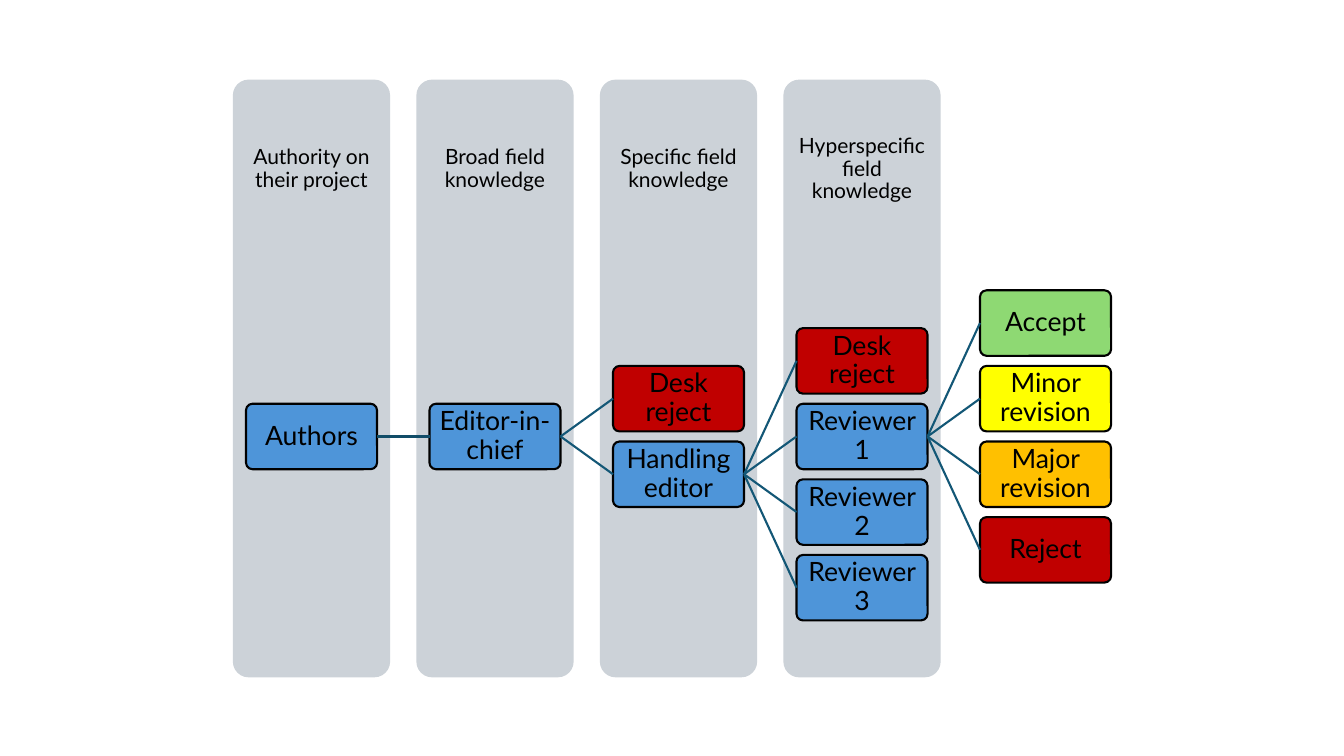
from lxml import etree
from pptx import Presentation
from pptx.dml.color import RGBColor
from pptx.enum.shapes import MSO_CONNECTOR, MSO_SHAPE
from pptx.enum.text import MSO_ANCHOR, PP_ALIGN
from pptx.oxml.ns import qn
from pptx.util import Inches, Pt

ROUND = MSO_SHAPE.ROUNDED_RECTANGLE
LINE = MSO_CONNECTOR.STRAIGHT
MIDDLE = MSO_ANCHOR.MIDDLE
CENTER = PP_ALIGN.CENTER
LEFT_SITE, RIGHT_SITE = 1, 3

BLACK = RGBColor(0x00, 0x00, 0x00)
GRAY = RGBColor(0xCC, 0xD2, 0xD8)
BLUE = RGBColor(0x4E, 0x95, 0xD9)
RED = RGBColor(0xC0, 0x00, 0x00)
GREEN = RGBColor(0x8E, 0xD9, 0x73)
YELLOW = RGBColor(0xFF, 0xFF, 0x00)
AMBER = RGBColor(0xFF, 0xC0, 0x00)
DEEP = RGBColor(0x11, 0x4D, 0x68)
TEAL = RGBColor(0x13, 0x57, 0x76)
FONT = "Lato"

# Content: column captions, and the review tree as (label, fill, children)
LANES = [
    "Authority on their project",
    "Broad field knowledge",
    "Specific field knowledge",
    "Hyperspecific field knowledge",
]
VERDICTS = [
    ("Accept", GREEN, []),
    ("Minor revision", YELLOW, []),
    ("Major revision", AMBER, []),
    ("Reject", RED, []),
]
REVIEWS = [
    ("Desk reject", RED, []),
    ("Reviewer 1", BLUE, VERDICTS),
    ("Reviewer 2", BLUE, []),
    ("Reviewer 3", BLUE, []),
]
EDITORS = [
    ("Desk reject", RED, []),
    ("Handling editor", BLUE, REVIEWS),
]
TREE = ("Authors", BLUE, [("Editor-in-chief", BLUE, EDITORS)])

# Layout, in inches
LANE_X, LANE_Y, LANE_W, LANE_H = 2.31, 0.79, 1.56, 5.93
HEAD_H = 1.78
BOX_X, BOX_W, BOX_H = 2.44, 1.3, 0.65
STEP_X, STEP_Y = 1.82, 0.75
ROOT_Y = 4.33


def write(shape, text, size, inset):
    frame = shape.text_frame
    frame.word_wrap = True
    frame.vertical_anchor = MIDDLE
    frame.margin_left = frame.margin_right = Inches(inset)
    frame.margin_top = frame.margin_bottom = Inches(inset)
    para = frame.paragraphs[0]
    para.alignment = CENTER
    para.line_spacing = 0.9
    run = para.add_run()
    run.text = text
    run.font.name = FONT
    run.font.size = Pt(size)
    run.font.color.rgb = BLACK


def panel(slide, x, y, w, h, fill):
    shape = slide.shapes.add_shape(ROUND, Inches(x), Inches(y), Inches(w), Inches(h))
    shape.adjustments[0] = 0.1
    shape.shadow.inherit = False
    shape.fill.solid()
    shape.fill.fore_color.rgb = fill
    return shape


def link(slide, start, end, color):
    line = slide.shapes.add_connector(LINE, 0, 0, 0, 0)
    line.begin_connect(start, RIGHT_SITE)
    line.end_connect(end, LEFT_SITE)
    line.line.color.rgb = color
    line.line.width = Pt(1.5)
    etree.SubElement(line._element.spPr, qn("a:effectLst"))


def branch(slide, node, level, mid, parent=None):
    label, fill, kids = node
    box = panel(slide, BOX_X + level * STEP_X, mid - BOX_H / 2, BOX_W, BOX_H, fill)
    box.line.color.rgb = BLACK
    box.line.width = Pt(1.5)
    write(box, label, 19, 0.03)
    if parent is not None:
        link(slide, parent, box, DEEP if level == 1 else TEAL)
    # Children are stacked evenly around the middle of their parent
    top = mid - (len(kids) - 1) * STEP_Y / 2
    for i, kid in enumerate(kids):
        branch(slide, kid, level + 1, top + i * STEP_Y, box)


def main():
    prs = Presentation()
    prs.slide_width, prs.slide_height = Inches(13.33), Inches(7.5)
    slide = prs.slides.add_slide(prs.slide_layouts[6])

    # Knowledge lanes with their captions
    for i, text in enumerate(LANES):
        x = LANE_X + i * STEP_X
        panel(slide, x, LANE_Y, LANE_W, LANE_H, GRAY).line.fill.background()
        head = slide.shapes.add_textbox(
            Inches(x), Inches(LANE_Y), Inches(LANE_W), Inches(HEAD_H))
        write(head, text, 15, 0.12)

    # Review tree
    branch(slide, TREE, 0, ROOT_Y)
    prs.save("out.pptx")


if __name__ == "__main__":
    main()
